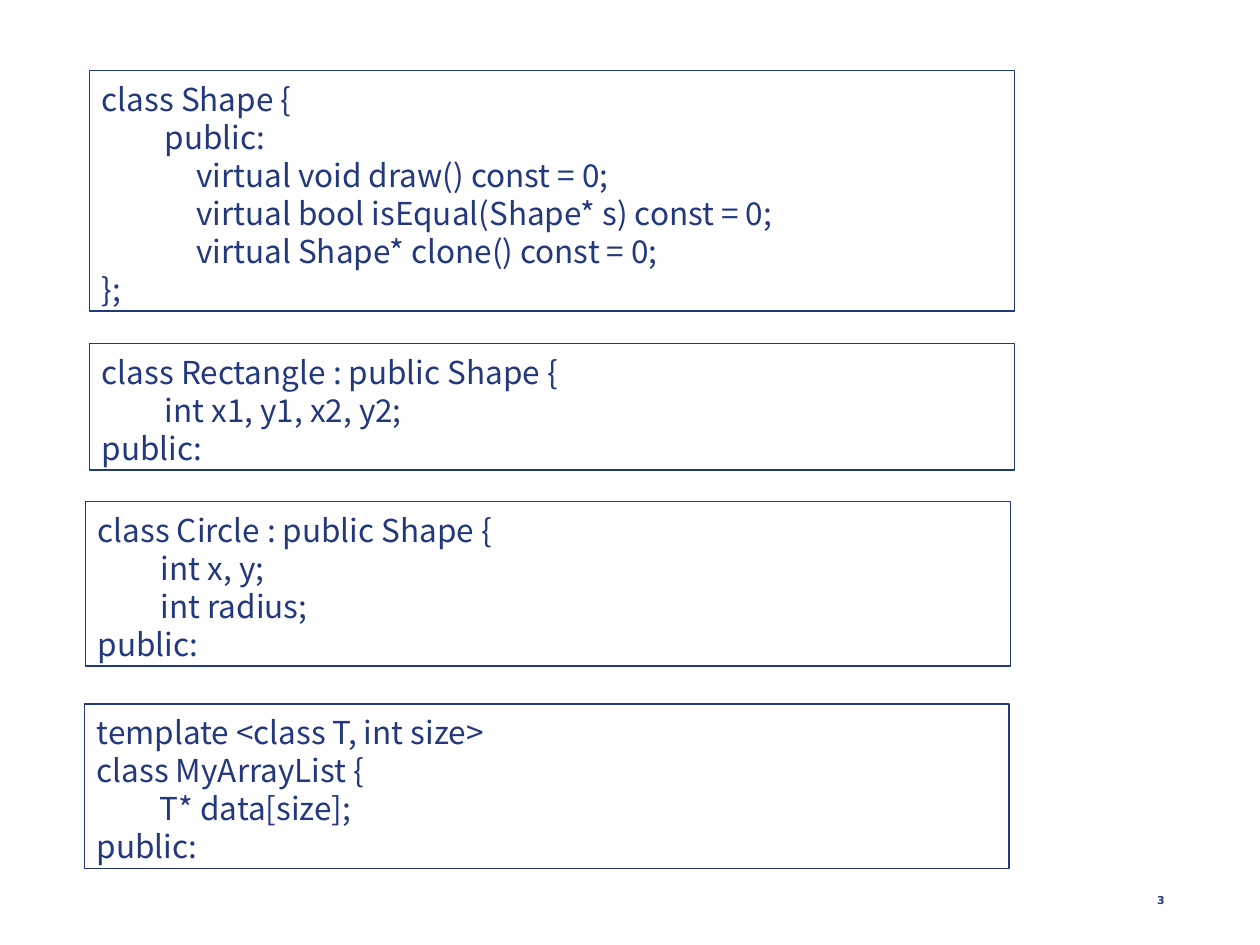
"""Build a slide of four framed C++ class outlines."""
from pptx import Presentation
from pptx.dml.color import RGBColor
from pptx.enum import shapes, text
from pptx.util import Pt

HUES = {"navy": "23387D"}
CODE_FONT, PAGE_FONT = "Noto Sans CJK KR", "DejaVu Sans"
WIDTH, PITCH, PAD = 528.5, 21.7, 3.6
INDENTS = (0, 36, 54)

# left, top, lines of (level, code)
BOXES = [
    (51.1, 40.3, [
        (0, "class Shape {"),
        (1, "public:"),
        (2, "virtual void draw() const = 0;"),
        (2, "virtual bool isEqual(Shape* s) const = 0;"),
        (2, "virtual Shape* clone() const = 0;"),
        (0, "};"),
    ]),
    (51.1, 196.3, [
        (0, "class Rectangle : public Shape {"),
        (1, "int x1, y1, x2, y2;"),
        (0, "public:"),
    ]),
    (48.8, 286.6, [
        (0, "class Circle : public Shape {"),
        (1, "int x, y;"),
        (1, "int radius;"),
        (0, "public:"),
    ]),
    (48.2, 402.3, [
        (0, "template <class T, int size>"),
        (0, "class MyArrayList {"),
        (1, "T* data[size];"),
        (0, "public:"),
    ]),
]
PAGE = ("3", 581, 508.3, 164.9, 17.3)


def tint(name):
    return RGBColor.from_string(HUES[name])


def add_run(para, words, font, size, bold=False):
    run = para.add_run()
    run.text = words
    run.font.name, run.font.size, run.font.bold = font, Pt(size), bold
    run.font.color.rgb = tint("navy")


def add_box(slide, left, top, lines):
    high = len(lines) * PITCH + 2 * PAD
    box = slide.shapes.add_shape(
        shapes.MSO_SHAPE.RECTANGLE, Pt(left), Pt(top), Pt(WIDTH), Pt(high))
    box.shadow.inherit = False
    box.fill.background()
    box.line.color.rgb = tint("navy")
    box.line.width = Pt(0.75)
    frame = box.text_frame
    frame.word_wrap = True
    frame.vertical_anchor = text.MSO_ANCHOR.TOP
    frame.margin_top, frame.margin_bottom = Pt(PAD + 1.5), Pt(0)
    for i, (level, code) in enumerate(lines):
        para = frame.add_paragraph() if i else frame.paragraphs[0]
        para.alignment = text.PP_ALIGN.LEFT
        para.line_spacing = Pt(PITCH)
        para._p.get_or_add_pPr().set("marL", str(Pt(INDENTS[level])))
        add_run(para, code, CODE_FONT, 18)


def add_page(slide, number, *place):
    frame = slide.shapes.add_textbox(*map(Pt, place)).text_frame
    frame.word_wrap = True
    para = frame.paragraphs[0]
    para.alignment = text.PP_ALIGN.CENTER
    para.line_spacing = 0.8
    add_run(para, number, PAGE_FONT, 6.2, True)


def main():
    deck = Presentation()
    deck.slide_width, deck.slide_height = Pt(720), Pt(540)
    slide = deck.slides.add_slide(deck.slide_layouts[6])
    add_page(slide, *PAGE)
    for box in BOXES:
        add_box(slide, *box)
    deck.save("out.pptx")


if __name__ == "__main__":
    main()
